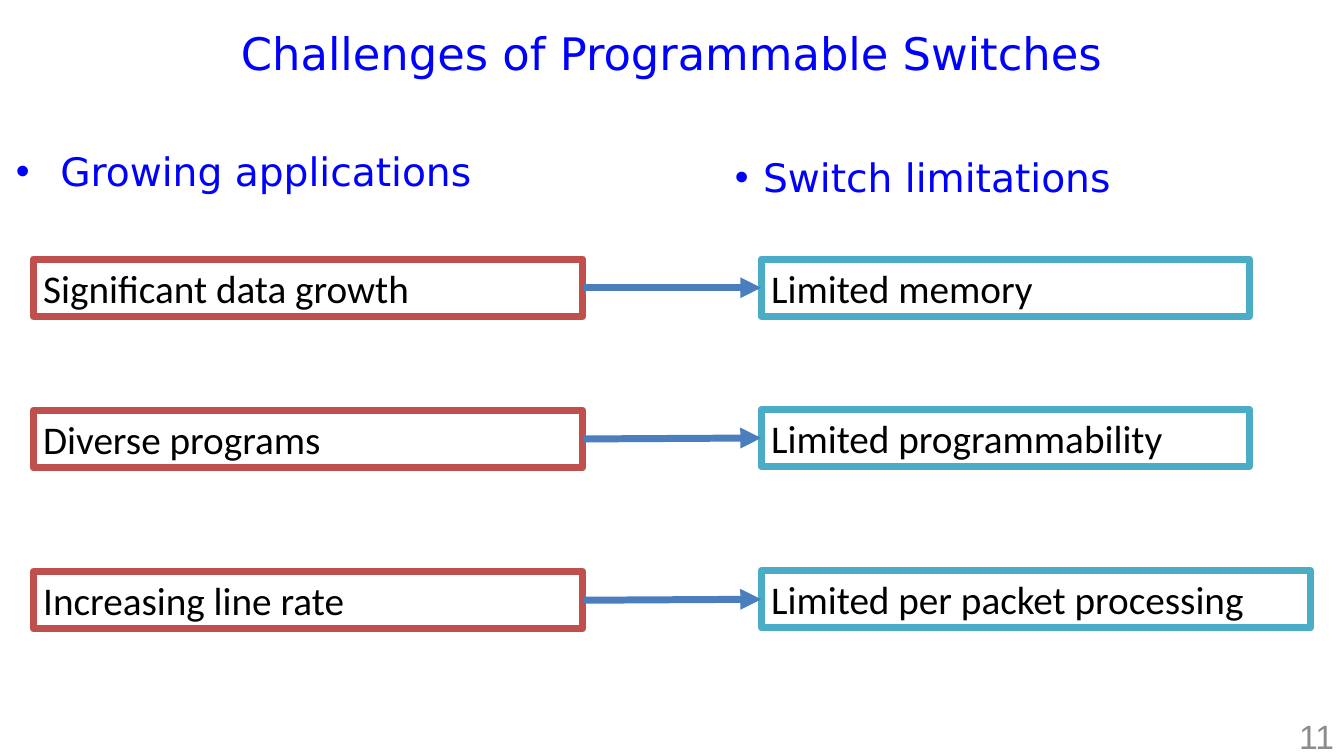
from dataclasses import dataclass

from lxml.etree import SubElement as Sub
from pptx import Presentation
from pptx.dml.color import RGBColor as Color
from pptx.enum.shapes import MSO_CONNECTOR as Link, MSO_SHAPE as Kind
from pptx.enum.text import MSO_ANCHOR as Anchor, MSO_AUTO_SIZE as Fit, PP_ALIGN as Align
from pptx.oxml.ns import qn
from pptx.shapes.autoshape import Shape
from pptx.slide import Slide
from pptx.text.text import _Paragraph as Para
from pptx.util import Inches, Pt


@dataclass(frozen=True)
class Theme:
    blue: str = "0000FF"
    red: str = "C0504D"
    teal: str = "4BACC6"
    arrow: str = "4B7EBC"
    gray: str = "8C8C8C"
    black: str = "000000"
    white: str = "FFFFFF"
    head: str = "DejaVu Sans"
    body: str = "Calibri"
    foot: str = "Arial"
    big: int = 32
    mid: int = 28
    small: int = 24
    line: int = 5


@dataclass(frozen=True)
class Topic:
    text: str
    left: float
    top: float
    indent: float
    hang: float


@dataclass(frozen=True)
class Pair:
    cause: str
    limit: str
    top: float  # top of the cause box
    rise: float  # how far the limit box sits above it
    width: float  # width of the limit box


THEME = Theme()
WIDE, HIGH = 13.33, 7.5
LEFT, RIGHT = 0.33, 7.55
BOX_W, BOX_H = 5.45, 0.57

TOPICS = [
    Topic("Growing applications", 0, 1.41, 0.5, 0.44),
    Topic("Switch limitations", 7.19, 1.47, 0.28, 0.28),
]
PAIRS = [
    Pair("Significant data growth", "Limited memory", 2.57, 0, 4.84),
    Pair("Diverse programs", "Limited programmability", 4.07, 0.01, 4.84),
    Pair("Increasing line rate", "Limited per packet processing", 5.67, 0.01, BOX_W),
]


def add_run(para: Para, text: str, font: str, size: int, color: str) -> None:
    run = para.add_run()
    run.text = text
    run.font.name = font
    run.font.size = Pt(size)
    run.font.color.rgb = Color.from_string(color)


def add_title(slide: Slide, text: str) -> None:
    title = slide.shapes.title
    title.left, title.top = Inches(0), Inches(0)
    title.width, title.height = Inches(WIDE), Inches(1.04)
    title.text_frame.vertical_anchor = Anchor.MIDDLE
    para = title.text_frame.paragraphs[0]
    para.alignment = Align.CENTER
    add_run(para, text, THEME.head, THEME.big, THEME.blue)


def add_topic(slide: Slide, topic: Topic) -> None:
    width = min(6.85, WIDE - topic.left)
    box = slide.shapes.add_textbox(Inches(topic.left), Inches(topic.top),
                                   Inches(width), Inches(HIGH - topic.top))
    box.text_frame.word_wrap = True
    para = box.text_frame.paragraphs[0]
    para.space_before = Pt(0.2 * THEME.mid)
    add_run(para, topic.text, THEME.head, THEME.mid, THEME.blue)
    # Bullet with hanging indent
    props = para._p.get_or_add_pPr()
    props.set("marL", str(Inches(topic.indent)))
    props.set("indent", str(-Inches(topic.hang)))
    Sub(Sub(props, qn("a:buClr")), qn("a:srgbClr"), val=THEME.blue)
    Sub(props, qn("a:buFont"), typeface=THEME.foot)
    Sub(props, qn("a:buChar"), char="•")


def add_box(slide: Slide, text: str, left: float, top: float,
            width: float, color: str) -> Shape:
    box = slide.shapes.add_shape(Kind.RECTANGLE, Inches(left), Inches(top),
                                 Inches(width), Inches(BOX_H))
    box.shadow.inherit = False
    box.fill.solid()
    box.fill.fore_color.rgb = Color.from_string(THEME.white)
    box.line.color.rgb = Color.from_string(color)
    box.line.width = Pt(THEME.line)
    frame = box.text_frame
    frame.word_wrap = True
    frame.auto_size = Fit.SHAPE_TO_FIT_TEXT
    frame.vertical_anchor = Anchor.TOP
    para = frame.paragraphs[0]
    para.alignment = Align.LEFT
    add_run(para, text, THEME.body, THEME.mid, THEME.black)
    return box


def add_arrow(slide: Slide, start: Shape, end: Shape) -> None:
    arrow = slide.shapes.add_connector(Link.STRAIGHT, 0, 0, 0, 0)
    arrow.begin_connect(start, 3)
    arrow.end_connect(end, 1)
    arrow.line.color.rgb = Color.from_string(THEME.arrow)
    arrow.line.width = Pt(THEME.line)
    Sub(arrow.line._get_or_add_ln(), qn("a:tailEnd"), type="triangle")
    Sub(arrow._element.spPr, qn("a:effectLst"))


def add_pair(slide: Slide, pair: Pair) -> None:
    cause = add_box(slide, pair.cause, LEFT, pair.top, BOX_W, THEME.red)
    limit = add_box(slide, pair.limit, RIGHT, pair.top - pair.rise,
                    pair.width, THEME.teal)
    add_arrow(slide, cause, limit)


def add_number(slide: Slide, text: str) -> None:
    box = slide.shapes.add_textbox(Inches(10.22), Inches(7.1),
                                   Inches(3.11), Inches(0.4))
    box.text_frame.word_wrap = True
    box.text_frame.vertical_anchor = Anchor.MIDDLE
    para = box.text_frame.paragraphs[0]
    para.alignment = Align.RIGHT
    add_run(para, text, THEME.foot, THEME.small, THEME.gray)


def main() -> None:
    deck = Presentation()
    deck.slide_width, deck.slide_height = Inches(WIDE), Inches(HIGH)
    slide = deck.slides.add_slide(deck.slide_layouts[5])

    # Title and page number
    add_title(slide, "Challenges of Programmable Switches")
    add_number(slide, "11")

    # Each cause points to the limit it meets
    for pair in PAIRS:
        add_pair(slide, pair)

    # Column headings
    for topic in TOPICS:
        add_topic(slide, topic)

    deck.save("out.pptx")


if __name__ == "__main__":
    main()
